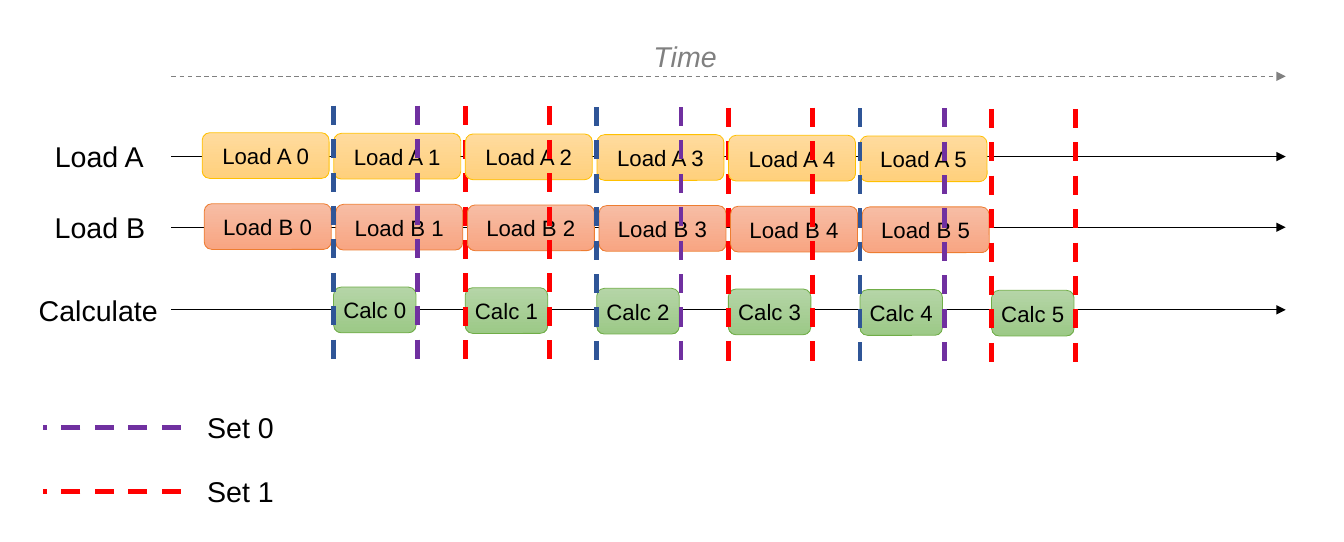
from lxml import etree
from pptx import Presentation
from pptx.dml.color import RGBColor
from pptx.enum.dml import MSO_LINE
from pptx.enum.shapes import MSO_CONNECTOR, MSO_SHAPE
from pptx.enum.text import MSO_ANCHOR, MSO_AUTO_SIZE, PP_ALIGN
from pptx.oxml.ns import qn
from pptx.util import Pt

BLACK = RGBColor(0x00, 0x00, 0x00)
GRAY = RGBColor(0x80, 0x80, 0x80)
BLUE = RGBColor(0x2F, 0x55, 0x97)
PURPLE = RGBColor(0x70, 0x30, 0xA0)
RED = RGBColor(0xFF, 0x00, 0x00)
YELLOW_TOP = RGBColor(0xFF, 0xDB, 0x9E)
YELLOW_BOTTOM = RGBColor(0xFF, 0xD0, 0x7C)
YELLOW_EDGE = RGBColor(0xFF, 0xC0, 0x00)
ORANGE_TOP = RGBColor(0xF7, 0xBD, 0xA5)
ORANGE_BOTTOM = RGBColor(0xF8, 0xA5, 0x82)
ORANGE_EDGE = RGBColor(0xED, 0x7D, 0x31)
GREEN_TOP = RGBColor(0xB5, 0xD5, 0xA7)
GREEN_BOTTOM = RGBColor(0x9C, 0xC9, 0x87)
GREEN_EDGE = RGBColor(0x70, 0xAD, 0x47)

# Lane: label, label left and width, axis height
LANES = [
    ("Load A", 27.4, 71.3, 98.6),
    ("Load B", 27.4, 72, 143.1),
    ("Calculate", 17.3, 90, 195.1),
]
# Task: name, first left, first top, width, gradient top and bottom, edge
LOAD_A = ("Load A", 127.4, 83.6, 80, YELLOW_TOP, YELLOW_BOTTOM, YELLOW_EDGE)
LOAD_B = ("Load B", 128.7, 128.3, 80, ORANGE_TOP, ORANGE_BOTTOM, ORANGE_EDGE)
CALC = ("Calc", 210.2, 180.8, 52, GREEN_TOP, GREEN_BOTTOM, GREEN_EDGE)
LEGEND = [("Set 0", PURPLE, 269.2), ("Set 1", RED, 309.5)]

ROUNDS = 6
ROUND_STEP = 82.9
ROUND_DROP = 0.4
BOX_HEIGHT = 28.8
AXIS_LEFT, AXIS_RIGHT = 108, 810
TIME_Y = 48.1
MARKER_TOP, MARKER_HEIGHT = 66.6, 164.2
CALC_SPAN = 53

presentation = Presentation()
presentation.slide_width = Pt(846.72)
presentation.slide_height = Pt(341.28)
slide = presentation.slides.add_slide(presentation.slide_layouts[6])


def write(frame, text, size=18, color=BLACK, italic=False, align=PP_ALIGN.LEFT):
    paragraph = frame.paragraphs[0]
    paragraph.alignment = align
    run = paragraph.add_run()
    run.text = text
    run.font.name = "Arial"
    run.font.size = Pt(size)
    run.font.italic = italic
    run.font.color.rgb = color


def add_label(text, left, middle, width, **text_format):
    label = slide.shapes.add_textbox(
        Pt(left), Pt(middle - BOX_HEIGHT / 2), Pt(width), Pt(BOX_HEIGHT))
    label.text_frame.word_wrap = False
    label.text_frame.auto_size = MSO_AUTO_SIZE.SHAPE_TO_FIT_TEXT
    write(label.text_frame, text, **text_format)


def add_line(start, end, color, weight=0.75, dashed=False, arrow=False):
    line = slide.shapes.add_connector(
        MSO_CONNECTOR.STRAIGHT, Pt(start[0]), Pt(start[1]), Pt(end[0]), Pt(end[1]))
    line.line.color.rgb = color
    line.line.width = Pt(weight)
    if dashed:
        line.line.dash_style = MSO_LINE.DASH
    properties = line.element.spPr
    if arrow:
        etree.SubElement(properties.find(qn("a:ln")), qn("a:tailEnd"), type="triangle")
    etree.SubElement(properties, qn("a:effectLst"))


def add_task(task, number):
    name, left, top, width, fill_top, fill_bottom, edge = task
    box = slide.shapes.add_shape(
        MSO_SHAPE.ROUNDED_RECTANGLE, Pt(left + number * ROUND_STEP),
        Pt(top + number * ROUND_DROP), Pt(width), Pt(BOX_HEIGHT))
    box.shadow.inherit = False
    box.fill.gradient()
    box.fill.gradient_angle = 270
    for stop, color in zip(box.fill.gradient_stops, (fill_top, fill_bottom)):
        stop.color.rgb = color
    box.line.color.rgb = edge
    box.line.width = Pt(0.5)
    frame = box.text_frame
    frame.word_wrap = True
    frame.vertical_anchor = MSO_ANCHOR.MIDDLE
    frame.margin_left = frame.margin_right = Pt(3.6)
    frame.margin_top = frame.margin_bottom = Pt(3.6)
    write(frame, f"{name} {number}", size=14, align=PP_ALIGN.CENTER)


def add_marker(number, color, offset=0):
    """Draw the dashed vertical line at the start of a calculation, or offset from it."""
    x = CALC[1] + number * ROUND_STEP + offset
    top = MARKER_TOP + number * ROUND_DROP
    add_line((x, top), (x, top + MARKER_HEIGHT), color, weight=3, dashed=True)


for lane, label_left, label_width, y in LANES:
    add_line((AXIS_LEFT, y), (AXIS_RIGHT, y), BLACK, arrow=True)
    add_label(lane, label_left, y, label_width)

add_line((AXIS_LEFT, TIME_Y), (AXIS_RIGHT, TIME_Y), GRAY, dashed=True, arrow=True)
add_label("Time", 404.6, 35.3, 54, color=GRAY, italic=True)

add_task(LOAD_A, 0)
add_task(LOAD_B, 0)
for number in range(ROUNDS):
    in_set_1 = number % 2 == 1
    add_task(CALC, number)
    if in_set_1:
        add_marker(number, RED)
    if number + 1 < ROUNDS:
        add_task(LOAD_A, number + 1)
        add_task(LOAD_B, number + 1)
    if not in_set_1:
        add_marker(number, BLUE)
        add_marker(number, PURPLE, CALC_SPAN)
for number in range(1, ROUNDS, 2):
    add_marker(number, RED, CALC_SPAN)

for set_name, color, y in LEGEND:
    add_line((113.8, y), (27.4, y), color, weight=3, dashed=True)
    add_label(set_name, 123.4, y, 56.9)

presentation.save("out.pptx")
